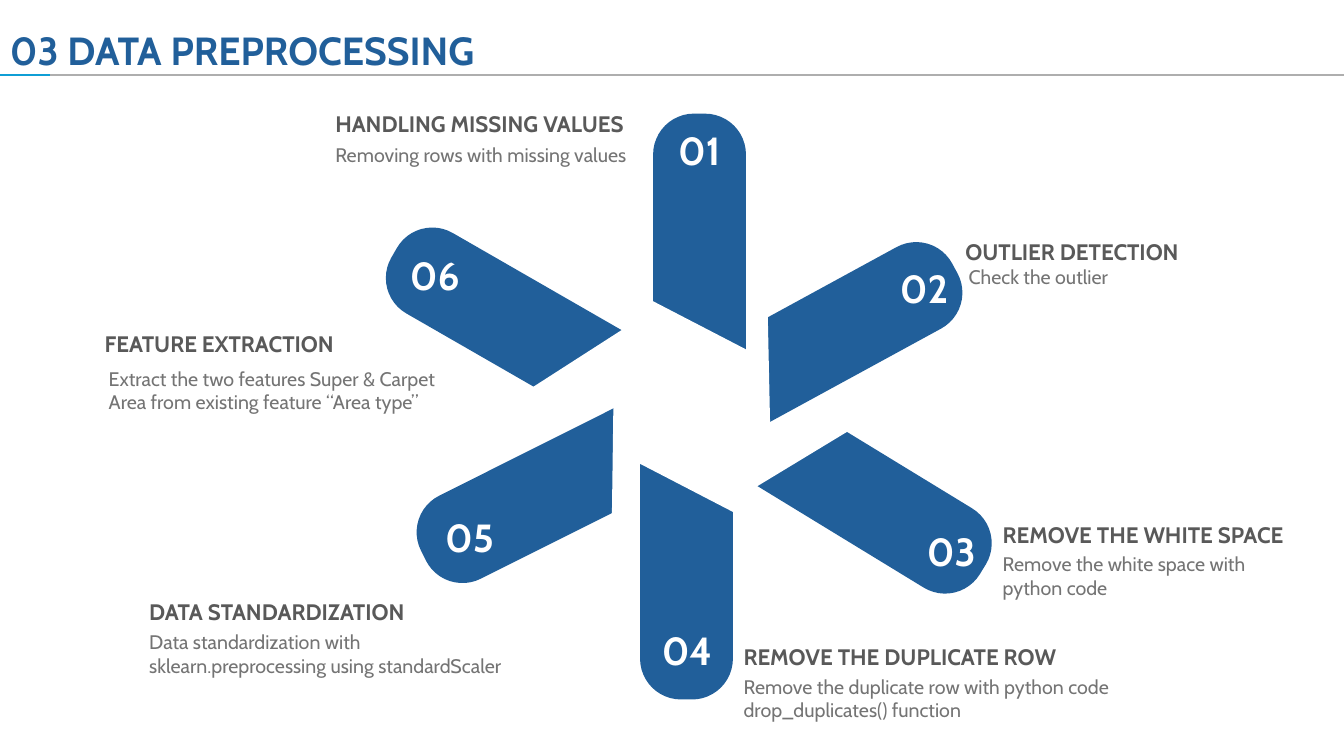
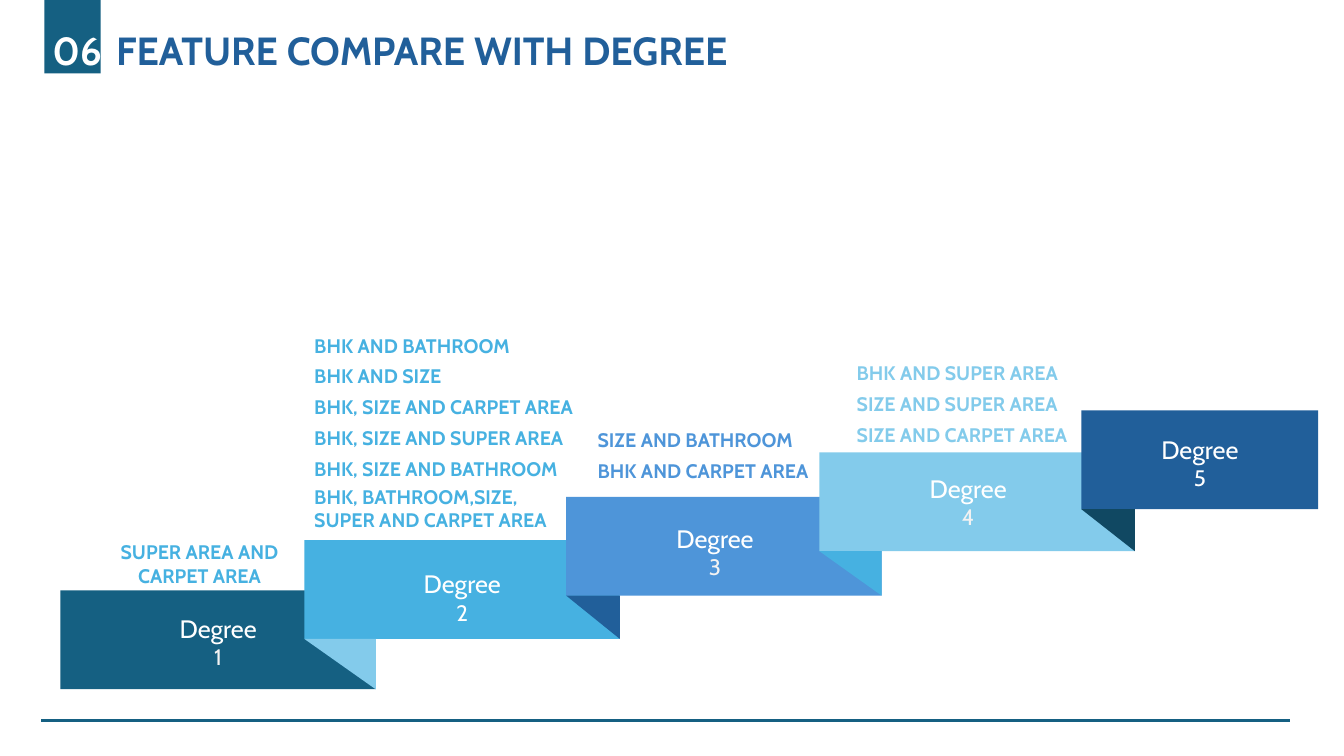
"""Build a data preprocessing wheel and a staircase of feature degrees."""
from dataclasses import dataclass
from itertools import pairwise
from math import cos, radians, sin

from lxml import etree
from pptx import Presentation
from pptx.dml.color import RGBColor
from pptx.enum.shapes import MSO_CONNECTOR, MSO_SHAPE
from pptx.enum.text import PP_ALIGN
from pptx.oxml.ns import qn
from pptx.shapes.autoshape import Shape
from pptx.slide import Slide
from pptx.text.text import TextFrame
from pptx.util import Cm, Pt

RECTANGLE = MSO_SHAPE.RECTANGLE
ROUNDED_TOP = MSO_SHAPE.ROUND_2_SAME_RECTANGLE
TRIANGLE = MSO_SHAPE.RIGHT_TRIANGLE
STRAIGHT = MSO_CONNECTOR.STRAIGHT
LEFT = PP_ALIGN.LEFT
CENTER = PP_ALIGN.CENTER


@dataclass(frozen=True)
class Theme:
    font: str = "Cabin"
    white: str = "FFFFFF"
    off_white: str = "F2F2F2"
    blue: str = "215F9A"
    teal: str = "156082"
    dark_teal: str = "104862"
    sky: str = "46B1E1"
    pale_sky: str = "83CBEB"
    mid_blue: str = "4E95D9"
    accent: str = "0F9ED5"
    rule: str = "AEAEAE"
    heading: str = "595959"
    body: str = "747474"
    title_size: int = 28
    degree_size: int = 18
    heading_size: int = 16
    body_size: int = 14


THEME = Theme()
PAGE_WIDTH, PAGE_HEIGHT = 33.87, 19.05
TITLE_TOP, TITLE_HEIGHT = 0.53, 1.45
NUMBER_WIDTH = 1.83
BLADE_WIDTH, BLADE_HEIGHT = 2.34, 5.97
CUT_WIDTH, CUT_HEIGHT = 2.87, 2.95
CUT_SHIFT_X, CUT_SHIFT_Y, CUT_TILT = -0.44, 2.15, -18.4
STEP_HEIGHT = 2.49


@dataclass(frozen=True)
class Stage:
    number: str
    center: tuple[float, float]
    angle: float
    number_at: tuple[float, float]
    heading: str
    heading_at: tuple[float, float]
    detail: str
    detail_at: tuple[float, float]
    detail_width: float


@dataclass(frozen=True)
class Step:
    left: float
    top: float
    width: float
    color: str
    fold_color: str
    label_at: tuple[float, float]
    digit_color: str


@dataclass(frozen=True)
class FeatureList:
    left: float
    top: float
    width: float
    color: str
    features: tuple[str, ...]
    align: PP_ALIGN = LEFT


STAGES = (
    Stage("01", (17.63, 5.85), 0, (16.84, 3.07),
          "HANDLING MISSING VALUES", (8.2, 2.64),
          "Removing rows with missing values", (8.2, 3.48), 8.1),
    Stage("02", (21.44, 8.19), 61.4, (22.43, 6.53),
          "OUTLIER DETECTION", (24.08, 5.87),
          "Check the outlier", (24.16, 6.55), 5.36),
    Stage("03", (22.22, 12.79), 121.4, (23.11, 13.16),
          "REMOVE THE WHITE SPACE", (25.02, 13),
          "Remove the white space with python code", (25.02, 13.79), 7.44),
    Stage("04", (17.3, 14.64), 180, (16.43, 15.67),
          "REMOVE THE DUPLICATE ROW", (18.49, 16.08),
          "Remove the duplicate row with python code\ndrop_duplicates() function",
          (18.49, 16.87), 10.29),
    Stage("05", (13.34, 12.66), 243.4, (10.97, 12.8),
          "DATA STANDARDIZATION", (3.51, 14.96),
          "Data standardization with sklearn.preprocessing using standardScaler",
          (3.51, 15.75), 10.29),
    Stage("06", (12.52, 7.86), 299.9, (10.08, 6.2),
          "FEATURE EXTRACTION", (2.39, 8.2),
          "Extract the two features Super & Carpet Area from existing feature “Area type”",
          (2.49, 9.12), 8.99),
)

STEPS = (
    Step(1.52, 14.88, 7.95, THEME.teal, THEME.teal, (4.14, 15.32), THEME.off_white),
    Step(7.67, 13.61, 7.95, THEME.sky, THEME.pale_sky, (10.29, 14.2), THEME.white),
    Step(14.27, 12.52, 7.95, THEME.mid_blue, THEME.blue, (16.66, 13.06), THEME.off_white),
    Step(20.65, 11.4, 7.95, THEME.pale_sky, THEME.sky, (23.04, 11.79), THEME.off_white),
    Step(27.25, 10.34, 5.97, THEME.blue, THEME.dark_teal, (28.88, 10.82), THEME.white),
)

FEATURE_LISTS = (
    FeatureList(2.72, 13.49, 4.62, THEME.sky, ("SUPER AREA AND\vCARPET AREA",), CENTER),
    FeatureList(7.67, 8.28, 7.44, THEME.sky, (
        "BHK AND BATHROOM", "BHK AND SIZE", "BHK, SIZE AND CARPET AREA",
        "BHK, SIZE AND SUPER AREA", "BHK, SIZE AND BATHROOM")),
    FeatureList(7.67, 12.09, 7.01, THEME.sky, ("BHK, BATHROOM,SIZE,\vSUPER AND CARPET AREA",)),
    FeatureList(14.81, 10.67, 6.22, THEME.mid_blue, ("SIZE AND BATHROOM", "BHK AND CARPET AREA")),
    FeatureList(21.34, 8.97, 6.53, THEME.pale_sky, (
        "BHK AND SUPER AREA", "SIZE AND SUPER AREA", "SIZE AND CARPET AREA")),
)


def add_frame(page: Slide, left: float, top: float, width: float, height: float) -> TextFrame:
    """Add a wrapping text box and return its frame."""
    frame = page.shapes.add_textbox(Cm(left), Cm(top), Cm(width), Cm(height)).text_frame
    frame.word_wrap = True
    return frame


def add_text(frame: TextFrame, text: str, *, size: float, color: str, bold: bool = False,
             align: PP_ALIGN = LEFT, gap: float = 0) -> None:
    """Append formatted paragraphs, one for each line of text."""
    for line in text.split("\n"):
        para = frame.add_paragraph() if frame.text else frame.paragraphs[0]
        para.text = line
        para.alignment = align
        para.space_after = Pt(gap)
        for span in para.runs:
            span.font.name = THEME.font
            span.font.size = Pt(size)
            span.font.bold = bold
            span.font.color.rgb = RGBColor.from_string(color)


def add_title(page: Slide, text: str, left: float, *, width: float = 30,
              color: str = THEME.blue, top: float = TITLE_TOP) -> None:
    """Write bold text at title size."""
    frame = add_frame(page, left, top, width, TITLE_HEIGHT)
    add_text(frame, text, size=THEME.title_size, color=color, bold=True)


def add_fill(page: Slide, kind: MSO_SHAPE, left: float, top: float, width: float,
             height: float, color: str, rotation: float = 0) -> Shape:
    """Add a plain filled shape."""
    shape = page.shapes.add_shape(kind, Cm(left), Cm(top), Cm(width), Cm(height))
    shape.shadow.inherit = False
    shape.fill.solid()
    shape.fill.fore_color.rgb = RGBColor.from_string(color)
    shape.line.fill.background()
    shape.rotation = rotation
    return shape


def add_rule(page: Slide, start: float, end: float, top: float, color: str,
             weight: float = 1.5) -> None:
    """Draw a horizontal line."""
    rule = page.shapes.add_connector(STRAIGHT, Cm(start), Cm(top), Cm(end), Cm(top))
    rule.line.color.rgb = RGBColor.from_string(color)
    rule.line.width = Pt(weight)
    etree.SubElement(rule._element.spPr, qn("a:effectLst"))


def add_blade(page: Slide, stage: Stage) -> None:
    """Draw a rotated blade whose inner end is cut at a slant."""
    x, y = stage.center
    turn = radians(stage.angle)
    blade = add_fill(page, ROUNDED_TOP, x - BLADE_WIDTH / 2, y - BLADE_HEIGHT / 2,
                     BLADE_WIDTH, BLADE_HEIGHT, THEME.blue, stage.angle)
    blade.adjustments[0] = 0.44
    cut_x = x + CUT_SHIFT_X * cos(turn) - CUT_SHIFT_Y * sin(turn)
    cut_y = y + CUT_SHIFT_X * sin(turn) + CUT_SHIFT_Y * cos(turn)
    cut = add_fill(page, TRIANGLE, cut_x - CUT_WIDTH / 2, cut_y - CUT_HEIGHT / 2,
                   CUT_WIDTH, CUT_HEIGHT, THEME.white, (stage.angle + CUT_TILT) % 360)
    cut.line.color.rgb = RGBColor.from_string(THEME.white)
    cut.line.width = Pt(1.5)


def add_stage_text(page: Slide, stage: Stage) -> None:
    """Write the number, heading and detail of a stage."""
    left, top = stage.number_at
    add_title(page, stage.number, left, top=top, width=NUMBER_WIDTH, color=THEME.white)
    add_text(add_frame(page, *stage.heading_at, 8.8, 0.94), stage.heading,
             size=THEME.heading_size, color=THEME.heading, bold=True)
    add_text(add_frame(page, *stage.detail_at, stage.detail_width, 1.45), stage.detail,
             size=THEME.body_size, color=THEME.body)


def build_preprocessing(page: Slide) -> None:
    """Draw the wheel of six preprocessing stages."""
    add_title(page, "03 DATA PREPROCESSING", 0)
    add_rule(page, 0, PAGE_WIDTH, 1.88, THEME.rule)
    add_rule(page, 0, 1.27, 1.9, THEME.accent)
    for stage in reversed(STAGES):
        add_blade(page, stage)
    for stage in STAGES:
        add_stage_text(page, stage)


def build_degrees(page: Slide) -> None:
    """Draw the staircase of degrees with its feature lists."""
    add_fill(page, RECTANGLE, 1.12, 0, 1.42, 1.85, THEME.teal)
    add_title(page, "06", 1.07, width=NUMBER_WIDTH, color=THEME.white)
    add_title(page, "FEATURE COMPARE WITH DEGREE", 2.68)
    add_rule(page, 1.04, 32.51, 18.16, THEME.teal, 2)
    for step in STEPS:
        add_fill(page, RECTANGLE, step.left, step.top, step.width, STEP_HEIGHT, step.color)
    for lower, upper in pairwise(STEPS):
        add_fill(page, TRIANGLE, upper.left, upper.top + STEP_HEIGHT,
                 lower.left + lower.width - upper.left, lower.top - upper.top,
                 upper.fold_color, 180)
    for degree, step in enumerate(STEPS, start=1):
        label = add_frame(page, *step.label_at, 2.72, 2.57)
        add_text(label, "Degree", size=THEME.degree_size, color=THEME.white, align=CENTER)
        add_text(label, str(degree), size=THEME.heading_size, color=step.digit_color,
                 align=CENTER)
    for group in FEATURE_LISTS:
        frame = add_frame(page, group.left, group.top, group.width, 0.78 * len(group.features))
        add_text(frame, "\n".join(group.features), size=THEME.body_size, color=group.color,
                 bold=True, align=group.align, gap=5.2)


def main() -> None:
    """Create and save the deck."""
    deck = Presentation()
    deck.slide_width, deck.slide_height = Cm(PAGE_WIDTH), Cm(PAGE_HEIGHT)
    blank = deck.slide_layouts[6]
    for build in (build_preprocessing, build_degrees):
        build(deck.slides.add_slide(blank))
    deck.save("out.pptx")


if __name__ == "__main__":
    main()
